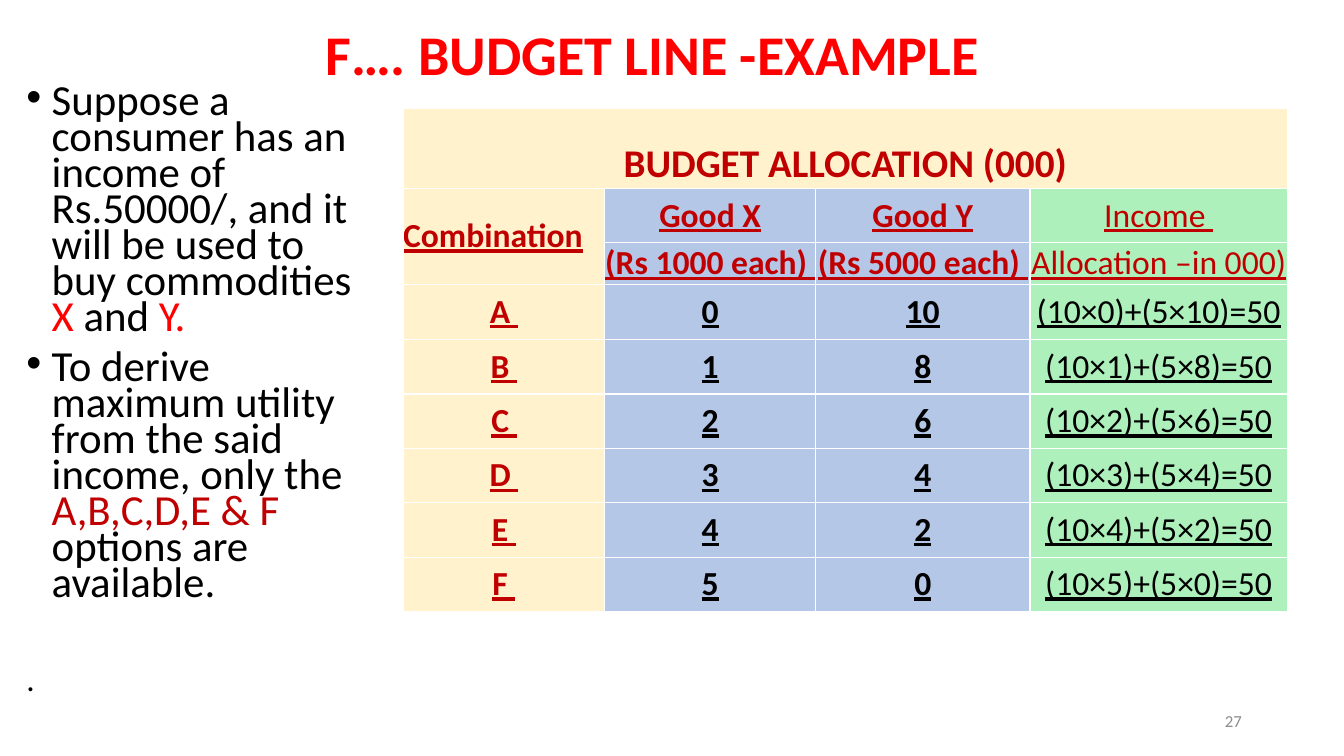
"""Builds the budget line example slide with its allocation table."""
from dataclasses import dataclass

from lxml import etree
from pptx import Presentation
from pptx.dml.color import RGBColor
from pptx.enum.text import MSO_ANCHOR, MSO_AUTO_SIZE, PP_ALIGN
from pptx.oxml.ns import qn
from pptx.util import Cm, Pt

CENTER, RIGHT, JUSTIFY = PP_ALIGN.CENTER, PP_ALIGN.RIGHT, PP_ALIGN.JUSTIFY
MIDDLE, BOTTOM = MSO_ANCHOR.MIDDLE, MSO_ANCHOR.BOTTOM
NO_FIT = MSO_AUTO_SIZE.NONE


@dataclass(frozen=True)
class Theme:
    font: str = "Calibri"
    red: str = "FF0000"
    dark_red: str = "C00000"
    black: str = "000000"
    gray: str = "8C8C8C"
    white: str = "FFFFFF"
    cream: str = "FFF2CC"
    blue: str = "B4C7E7"
    green: str = "AEF0BC"
    title_size: float = 40
    body_size: float = 30.6
    dot_size: float = 23.8
    heading_size: float = 28
    cell_size: float = 24
    number_size: float = 12


class SlideBuilder:
    def __init__(self, slide, theme):
        self.slide = slide
        self.theme = theme

    def style(self, font, size, color, bold=False, underline=False):
        font.name = self.theme.font
        font.size = Pt(size)
        font.color.rgb = RGBColor.from_string(color)
        font.bold = bold
        font.underline = underline

    def place(self, shape, left, top, width, height):
        shape.left, shape.top = Cm(left), Cm(top)
        shape.width, shape.height = Cm(width), Cm(height)
        shape.text_frame.word_wrap = True
        shape.text_frame.auto_size = NO_FIT
        return shape.text_frame

    def title(self, text, box):
        frame = self.place(self.slide.shapes.title, *box)
        frame.vertical_anchor = MIDDLE
        frame.text = text
        heading = frame.paragraphs[0]
        heading.alignment = CENTER
        heading.line_spacing = 0.9
        self.style(heading.font, self.theme.title_size, self.theme.red, bold=True)

    def body(self, items, box):
        frame = self.place(self.slide.placeholders[1], *box)
        for index, (segments, size, space_before, bullet) in enumerate(items):
            item = frame.add_paragraph() if index else frame.paragraphs[0]
            item.line_spacing = 0.7
            item.space_before = Pt(space_before)
            self.style(item.font, size, self.theme.black)
            for text, color in segments:
                run = item.add_run()
                run.text = text
                run.font.color.rgb = RGBColor.from_string(color)
            properties = item._p.get_or_add_pPr()
            indent = Cm(0.64) if bullet else 0
            properties.set("marL", str(indent))
            properties.set("indent", str(-indent))
            mark = etree.Element(qn("a:buChar" if bullet else "a:buNone"))
            if bullet:
                mark.set("char", "•")
            properties.find(qn("a:defRPr")).addprevious(mark)

    def table(self, left, top, widths, heights):
        frame = self.slide.shapes.add_table(
            len(heights), len(widths), Cm(left), Cm(top), Cm(sum(widths)), Cm(sum(heights)))
        table = frame.table
        table.first_row = table.horz_banding = False
        for column, width in zip(table.columns, widths):
            column.width = Cm(width)
        for row, height in zip(table.rows, heights):
            row.height = Cm(height)
        return table

    def cell(self, cell, text, fill, color, size, bold=True, underline=True,
             alignment=CENTER, anchor=MIDDLE):
        cell.margin_left = cell.margin_right = cell.margin_top = cell.margin_bottom = 0
        cell.vertical_anchor = anchor
        properties = cell._tc.get_or_add_tcPr()
        for side in ("a:lnL", "a:lnR", "a:lnT", "a:lnB"):
            border = etree.SubElement(properties, qn(side), w=str(Pt(1)))
            paint = etree.SubElement(border, qn("a:solidFill"))
            etree.SubElement(paint, qn("a:srgbClr"), val=self.theme.white)
        cell.fill.solid()
        cell.fill.fore_color.rgb = RGBColor.from_string(fill)
        cell.text = text
        label = cell.text_frame.paragraphs[0]
        label.alignment = alignment
        self.style(label.font, size, color, bold, underline)

    def page_number(self, text, box):
        frame = self.place(self.slide.shapes.add_textbox(*map(Cm, box)), *box)
        frame.vertical_anchor = MIDDLE
        frame.text = text
        number = frame.paragraphs[0]
        number.alignment = RIGHT
        self.style(number.font, self.theme.number_size, self.theme.gray)


def add_allocation(builder):
    theme = builder.theme
    table = builder.table(10.16, 2.72, [5.08, 5.31, 5.41, 6.48],
                          [2.03, 1.37, 1.04, 1.4] + [1.37] * 5)
    table.cell(0, 0).merge(table.cell(0, 3))
    table.cell(1, 0).merge(table.cell(2, 0))
    rows = [
        ["BUDGET ALLOCATION (000)", "", "", ""],
        ["Combination", "Good X", "Good Y", "Income "],
        ["", "(Rs 1000 each) ", "(Rs 5000 each) ", "Allocation –in 000)"],
    ]
    for good_x, combination in enumerate("ABCDEF"):
        good_y = 10 - 2 * good_x
        rows.append([f"{combination} ", str(good_x), str(good_y),
                     f"(10×{good_x})+(5×{good_y})=50"])
    fills = [theme.cream, theme.blue, theme.blue, theme.green]
    for row, texts in enumerate(rows):
        for column, text in enumerate(texts):
            heading = row == 0
            builder.cell(
                table.cell(row, column), text,
                fill=theme.cream if heading else fills[column],
                color=theme.dark_red if row < 3 or column == 0 else theme.black,
                size=theme.heading_size if heading else theme.cell_size,
                bold=heading or column < 3,
                underline=not heading,
                alignment=JUSTIFY if (row, column) == (1, 0) else CENTER,
                anchor=BOTTOM if heading else MIDDLE)


def main():
    theme = Theme()
    presentation = Presentation()
    presentation.slide_width, presentation.slide_height = Cm(33.87), Cm(19.05)
    slide = presentation.slides.add_slide(presentation.slide_layouts[1])
    builder = SlideBuilder(slide, theme)
    builder.title("F…. BUDGET LINE -EXAMPLE", (1.32, 0.18, 30.23, 2.54))
    income = [
        ("Suppose a consumer has an income of Rs.50000/, and it will be used to "
         "buy commodities ", theme.black),
        ("X", theme.red), (" and ", theme.black), ("Y.", theme.red)]
    options = [
        ("To derive maximum utility from the said income, only the ", theme.black),
        ("A,B,C,D,E & F ", theme.dark_red), ("options are available.", theme.black)]
    builder.body([
        (income, theme.body_size, 10, True),
        (options, theme.body_size, 10, True),
        ([(".", theme.black)], theme.dot_size, 46, False),
    ], (0.41, 2.06, 8.84, 16.66))
    add_allocation(builder)
    builder.page_number("27", (23.93, 17.65, 7.62, 1.02))
    presentation.save("out.pptx")


if __name__ == "__main__":
    main()
